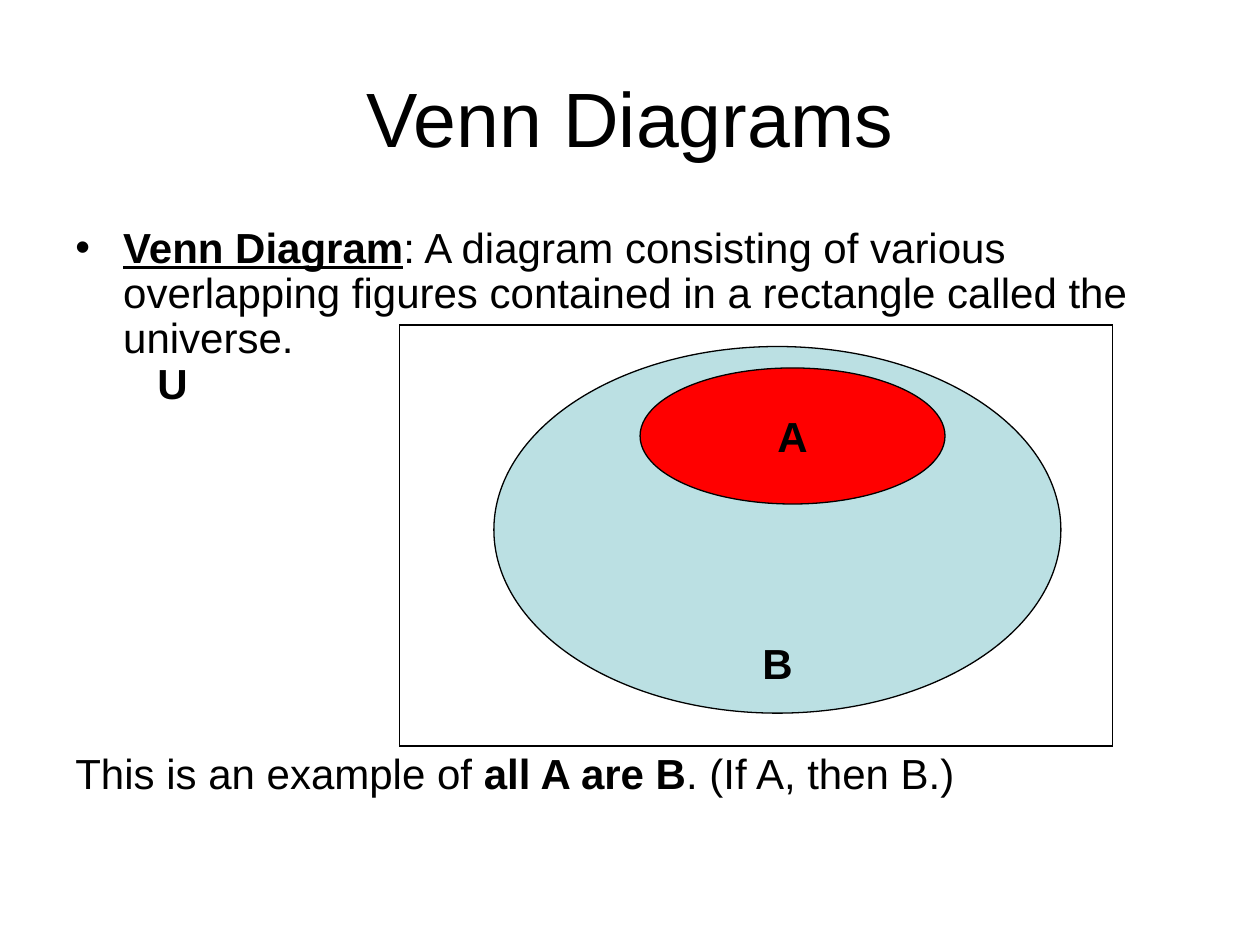
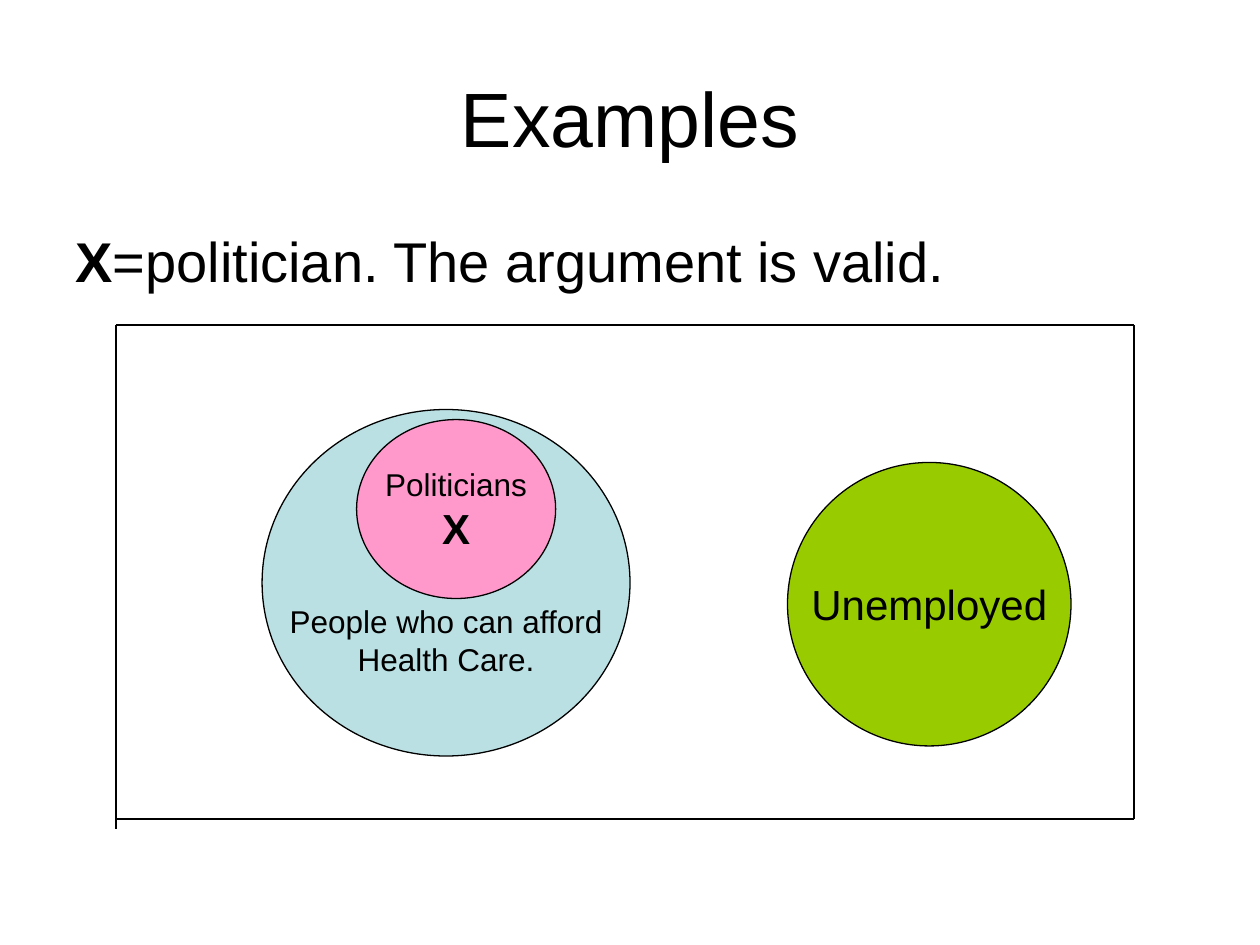
"""Builds two slides on Venn diagrams."""
from lxml import etree
from pptx import Presentation
from pptx.dml.color import RGBColor
from pptx.enum import shapes, text
from pptx.oxml.ns import qn
from pptx.util import Inches, Pt

BLACK = RGBColor(0, 0, 0)
PALE_BLUE = RGBColor(0xBB, 0xE0, 0xE3)
RED = RGBColor(0xFF, 0, 0)
PINK = RGBColor(0xFF, 0x99, 0xCC)
GREEN = RGBColor(0x99, 0xCC, 0)
FONT = "Arial"
LINE_WIDTH = Pt(0.75)
HANGING = 0.38
LABEL_HEIGHT = 0.7

TITLE_AREA = (0.5, 0.3, 9, 1.25)
BODY_AREA = (0.5, 1.75, 9, 4.95)

SLIDES = [
    {
        "title": "Venn Diagrams",
        "body": [
            dict(spans=[("Venn Diagram", dict(bold=True, underline=True)),
                        (": A diagram consisting of various overlapping figures "
                         "contained in a rectangle called the universe.", {})],
                 size=24, spacing=0.9, margin=HANGING, bullet="•"),
            dict(spans=[("U", dict(bold=True))], size=24, spacing=0.9, margin=0.65),
            dict(spans=[("This is an example of ", {}),
                        ("all A are B", dict(bold=True)),
                        (". (If A, then B.)", {})],
                 size=24, spacing=0.9, before=197.5),
        ],
        "sets": [
            dict(area=(3.92, 2.75, 4.5, 2.91), fill=PALE_BLUE, label_center=5.26,
                 label=[dict(spans=[("B", dict(bold=True))], size=24)]),
            dict(area=(5.08, 2.92, 2.42, 1.08), fill=RED,
                 label=[dict(spans=[("A", dict(bold=True))], size=24)]),
        ],
        "universe": dict(left=3.17, top=2.58, right=8.83, bottom=5.92),
    },
    {
        "title": "Examples",
        "body": [
            dict(spans=[("X", dict(bold=True)),
                        ("=politician. The argument is valid.", {})], size=32),
        ],
        "sets": [
            dict(area=(2.08, 3.25, 2.92, 2.75), fill=PALE_BLUE, label_center=5.08,
                 label=[dict(spans=[("People who can afford", {})], size=18),
                        dict(spans=[("Health Care.", {})], size=18)]),
            dict(area=(2.83, 3.33, 1.58, 1.42), fill=PINK,
                 label=[dict(spans=[("Politicians", {})], size=18),
                        dict(spans=[("X", dict(bold=True))], size=24)]),
            dict(area=(6.25, 3.67, 2.25, 2.25), fill=GREEN,
                 label=[dict(spans=[("Unemployed", {})], size=24)]),
        ],
        "universe": dict(left=0.92, top=2.58, right=9, bottom=6.5, overhang=0.08),
    },
]


def add_bullet(para, mark, margin):
    properties = para._p.get_or_add_pPr()
    properties.set("marL", str(Inches(margin)))
    properties.set("indent", str(-Inches(margin)))
    etree.SubElement(properties, qn("a:buFont"), typeface=FONT)
    etree.SubElement(properties, qn("a:buChar"), char=mark)


def write(frame, paragraphs, align=text.PP_ALIGN.LEFT,
          anchor=text.MSO_ANCHOR.TOP, wrap=True):
    frame.word_wrap = wrap
    frame.vertical_anchor = anchor
    for index, content in enumerate(paragraphs):
        para = frame.paragraphs[0] if index == 0 else frame.add_paragraph()
        para.alignment = align
        para.line_spacing = content.get("spacing", 1.0)
        para.space_before = Pt(content.get("before", 0))
        margin = content.get("margin", 0)
        if "bullet" in content:
            add_bullet(para, content["bullet"], margin)
        elif margin:
            para._p.get_or_add_pPr().set("marL", str(Inches(margin)))
        for words, style in content["spans"]:
            span = para.add_run()
            span.text = words
            span.font.name = FONT
            span.font.size = Pt(content["size"])
            span.font.color.rgb = BLACK
            span.font.bold = style.get("bold", False)
            span.font.underline = style.get("underline", False)


def add_text(page, area, paragraphs, **layout):
    box = page.shapes.add_textbox(*map(Inches, area))
    write(box.text_frame, paragraphs, **layout)


def add_set(page, area, fill, label, label_center=None):
    oval = page.shapes.add_shape(shapes.MSO_SHAPE.OVAL, *map(Inches, area))
    oval.shadow.inherit = False
    oval.fill.solid()
    oval.fill.fore_color.rgb = fill
    oval.line.color.rgb = BLACK
    oval.line.width = LINE_WIDTH
    centered = dict(align=text.PP_ALIGN.CENTER, anchor=text.MSO_ANCHOR.MIDDLE, wrap=False)
    if label_center is None:
        write(oval.text_frame, label, **centered)
    else:
        left, _, width, _ = area
        label_area = (left, label_center - LABEL_HEIGHT / 2, width, LABEL_HEIGHT)
        add_text(page, label_area, label, **centered)


def add_universe(page, left, top, right, bottom, overhang=0):
    sides = [(left, top, left, bottom + overhang), (left, top, right, top),
             (right, top, right, bottom), (right, bottom, left, bottom)]
    for ends in sides:
        side = page.shapes.add_connector(shapes.MSO_CONNECTOR.STRAIGHT, *map(Inches, ends))
        side.line.color.rgb = BLACK
        side.line.width = LINE_WIDTH
        etree.SubElement(side._element.spPr, qn("a:effectLst"))


def main():
    deck = Presentation()
    deck.slide_width, deck.slide_height = Inches(10), Inches(7.5)
    for content in SLIDES:
        page = deck.slides.add_slide(deck.slide_layouts[6])
        add_text(page, TITLE_AREA, [dict(spans=[(content["title"], {})], size=44)],
                 align=text.PP_ALIGN.CENTER, anchor=text.MSO_ANCHOR.MIDDLE)
        add_text(page, BODY_AREA, content["body"])
        for member in content["sets"]:
            add_set(page, **member)
        add_universe(page, **content["universe"])
    deck.save("out.pptx")


if __name__ == "__main__":
    main()
